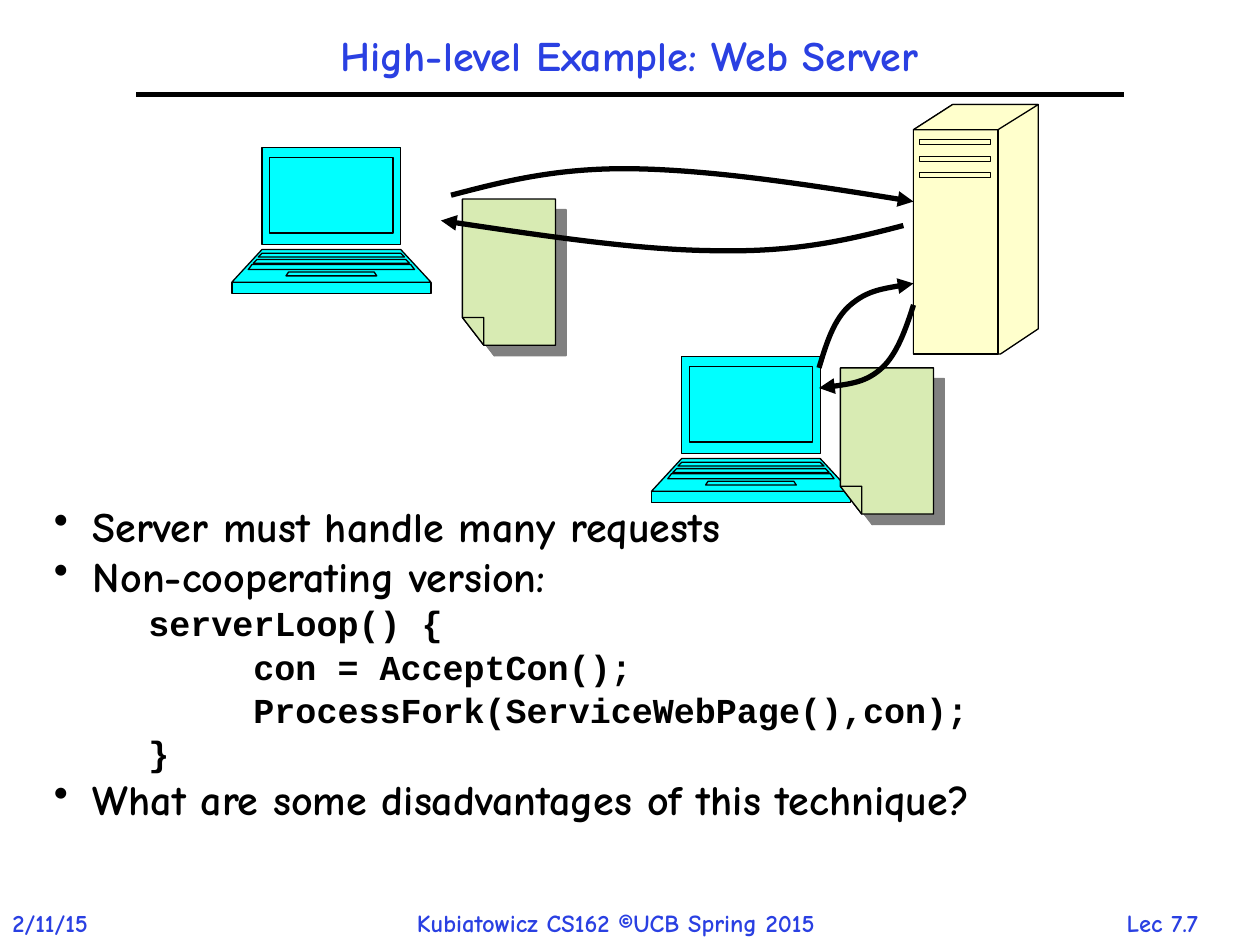
from copy import deepcopy
from dataclasses import dataclass

from lxml.etree import SubElement
from pptx import Presentation
from pptx.dml.color import RGBColor
from pptx.enum.shapes import MSO_CONNECTOR
from pptx.enum.text import MSO_ANCHOR, MSO_AUTO_SIZE, PP_ALIGN
from pptx.oxml.ns import qn
from pptx.util import Inches, Pt

BLUE, BLACK, CYAN, CREAM, GREEN, GREY = (
    "2A40E2", "000000", "00FFFF", "FFFFCC", "D8EBB3", "808080")
SANS, MONO = "Comic Neue", "Courier New"
Points = list[tuple[float, float]]


@dataclass
class Band:
    """A trapezoid centred on the laptop's axis."""
    top: float
    bottom: float
    half_top: float
    half_bottom: float


@dataclass
class Line:
    text: str
    code: bool = False


@dataclass
class Footer:
    text: str
    left: float
    width: float
    align: PP_ALIGN = PP_ALIGN.LEFT


LAPTOP = [
    Band(0, 0.77, 0.55, 0.55),
    Band(0.81, 1.07, 0.55, 0.79),
    Band(1.07, 1.16, 0.79, 0.79),
    Band(0.08, 0.68, 0.49, 0.49),
    Band(0.84, 0.87, 0.55, 0.58),
    Band(0.99, 1.02, 0.34, 0.36),
    Band(0.89, 0.92, 0.59, 0.62),
    Band(0.93, 0.97, 0.63, 0.66),
]
BODY = [
    Line("Server must handle many requests"),
    Line("Non-cooperating version:"),
    Line("\tserverLoop() {", code=True),
    Line("\t\t  con = AcceptCon();", code=True),
    Line("\t\t  ProcessFork(ServiceWebPage(),con);", code=True),
    Line("\t}", code=True),
    Line("What are some disadvantages of this technique?"),
]
FOOTERS = [
    Footer("2/11/15", 0, 1),
    Footer("Kubiatowicz CS162 ©UCB Spring 2015", 3.21, 3.87),
    Footer("Lec 7.7", 8.62, 1.21, PP_ALIGN.CENTER),
]
REQUEST_FAR = [(3.58, 1.55), (4, 1.44), (4.42, 1.33), (5.03, 1.34),
               (5.64, 1.35), (6.45, 1.47), (7.25, 1.6)]
REPLY_FAR = [(7.17, 1.79), (6.75, 1.9), (6.33, 2), (5.72, 1.99),
             (5.11, 1.99), (4.3, 1.87), (3.5, 1.75)]
REQUEST_NEAR = [(6.5, 2.92), (6.56, 2.72), (6.62, 2.53), (6.75, 2.42),
                (6.88, 2.31), (7.06, 2.28), (7.25, 2.25)]
REPLY_NEAR = [(7.25, 2.42), (7.19, 2.61), (7.12, 2.81), (7, 2.92),
              (6.88, 3.03), (6.69, 3.06), (6.5, 3.08)]


def rgb(hex_colour: str) -> RGBColor:
    return RGBColor.from_string(hex_colour)


def add_text(p, text: str, *, size=24, font=SANS, colour=BLACK, align=None):
    p.alignment = align
    r = p.add_run()
    r.text = text
    r.font.name, r.font.size, r.font.bold = font, Pt(size), True
    r.font.color.rgb = rgb(colour)


def set_indent(p, left: float, hanging: float, bullet: str = ""):
    pPr = p._p.get_or_add_pPr()
    pPr.set("marL", str(Inches(left)))
    pPr.set("indent", str(-Inches(hanging)))
    if bullet:
        SubElement(pPr, qn("a:buChar"), char=bullet)
    else:
        SubElement(pPr, qn("a:buNone"))


def draw_outline(slide, contours: list[Points], closed=True):
    """Draw the contours as one freeform, each as a path of its own."""
    scaled = [[(Inches(x), Inches(y)) for x, y in c] for c in contours]
    builder = slide.shapes.build_freeform(*scaled[0][0])
    for i, (start, *rest) in enumerate(scaled):
        if i:
            builder.move_to(*start)
        builder.add_line_segments(rest, close=closed)
    sp = builder.convert_to_shape()
    sp.shadow.inherit = False
    sp.line.color.rgb = rgb(BLACK)
    sp.line.width = Pt(0.75)

    path = next(sp._element.iter(qn("a:path")))
    steps, current = list(path), path
    for step in steps[1:]:
        if step.tag == qn("a:moveTo"):
            current = deepcopy(path)
            for child in list(current):
                current.remove(child)
            path.getparent().append(current)
        current.append(step)
    return sp


def draw_solid(slide, contours: list[Points], fill: str):
    sp = draw_outline(slide, contours)
    sp.fill.solid()
    sp.fill.fore_color.rgb = rgb(fill)
    return sp


def draw_curved_arrow(slide, points: Points):
    """Draw a Bézier arrow from a start and groups of three points."""
    sp = draw_outline(slide, [points], closed=False)
    sp.fill.background()
    sp.line.width = Pt(3)
    SubElement(sp._element.spPr.find(qn("a:ln")), qn("a:tailEnd"), type="triangle")
    path = next(sp._element.iter(qn("a:path")))
    steps = path.findall(qn("a:lnTo"))
    for i in range(0, len(steps), 3):
        curve = SubElement(path, qn("a:cubicBezTo"))
        for step in steps[i:i + 3]:
            curve.append(step[0])
            path.remove(step)


def draw_laptop(slide, centre: float, top: float):
    contours = [[(centre - b.half_top, top + b.top), (centre + b.half_top, top + b.top),
                 (centre + b.half_bottom, top + b.bottom),
                 (centre - b.half_bottom, top + b.bottom)] for b in LAPTOP]
    draw_solid(slide, contours, CYAN)


def draw_page(slide, left: float, top: float):
    right, bottom = left + 0.74, top + 1.16
    fold_x, fold_y = left + 0.17, bottom - 0.22
    sheet = [(left, top), (right, top), (right, bottom), (fold_x, bottom), (left, fold_y)]
    fold = [(left, fold_y), (fold_x, fold_y), (fold_x, bottom)]
    sp = draw_solid(slide, [sheet, fold], GREEN)
    effects = sp._element.spPr.find(qn("a:effectLst"))
    shadow = SubElement(effects, qn("a:outerShdw"), dist=str(Pt(8.5)),
                        dir=str(45 * 60000), algn="ctr", rotWithShape="0")
    SubElement(shadow, qn("a:srgbClr"), val=GREY)


def draw_server(slide):
    left, edge, right = 7.25, 7.92, 8.24
    back, top, bottom = 0.83, 1.03, 2.81
    case = [(left, top), (7.56, back), (right, back), (right, 2.61),
            (7.94, bottom), (left, bottom)]
    front = [(left, top), (edge, top), (edge, bottom), (left, bottom)]
    lid = [(left, top), (edge, top), (right, back), (7.56, back)]
    slots = [[(7.3, y), (7.86, y), (7.86, y + 0.04), (7.3, y + 0.04)]
             for y in (1.11, 1.24, 1.37)]
    draw_solid(slide, [case, front, lid, *slots], CREAM)


def add_box(slide, left, top, width, height, wrap):
    tf = slide.shapes.add_textbox(*map(Inches, (left, top, width, height))).text_frame
    tf.word_wrap = wrap
    return tf


def main():
    prs = Presentation()
    prs.slide_width, prs.slide_height = Inches(10), Inches(7.5)
    slide = prs.slides.add_slide(prs.slide_layouts[5])

    title = slide.shapes.title
    title.left, title.top, title.width, title.height = map(Inches, (1.08, 0.17, 7.83, 0.58))
    title.text_frame.vertical_anchor = MSO_ANCHOR.MIDDLE
    title.text_frame.auto_size = MSO_AUTO_SIZE.NONE
    p = title.text_frame.paragraphs[0]
    p.line_spacing = 0.9
    add_text(p, "High-level Example: Web Server", colour=BLUE, align=PP_ALIGN.CENTER)

    rule = slide.shapes.add_connector(
        MSO_CONNECTOR.STRAIGHT, *map(Inches, (1.08, 0.75, 8.92, 0.75)))
    rule.line.color.rgb = rgb(BLACK)
    rule.line.width = Pt(3)
    SubElement(rule._element.spPr, qn("a:effectLst"))

    for f in FOOTERS:
        tf = add_box(slide, f.left, 7.16, f.width, 0.34, wrap=False)
        add_text(tf.paragraphs[0], f.text, size=14, colour=BLUE, align=f.align)

    tf = add_box(slide, 0.33, 4, 8.67, 3.08, wrap=True)
    for i, line in enumerate(BODY):
        p = tf.add_paragraph() if i else tf.paragraphs[0]
        p.line_spacing, p.space_before = 0.8, Pt(5.5)
        if line.code:
            p.level = 1
            set_indent(p, 0.75, 0.25)
            add_text(p, line.text, size=20, font=MONO)
        else:
            set_indent(p, 0.31, 0.31, "•")
            add_text(p, line.text)

    draw_server(slide)
    draw_laptop(slide, 2.63, 1.17)
    draw_curved_arrow(slide, REQUEST_FAR)
    draw_page(slide, 3.67, 1.58)
    draw_laptop(slide, 5.96, 2.83)
    draw_curved_arrow(slide, REQUEST_NEAR)
    draw_page(slide, 6.67, 2.92)
    draw_curved_arrow(slide, REPLY_NEAR)
    draw_curved_arrow(slide, REPLY_FAR)
    prs.save("out.pptx")


if __name__ == "__main__":
    main()
